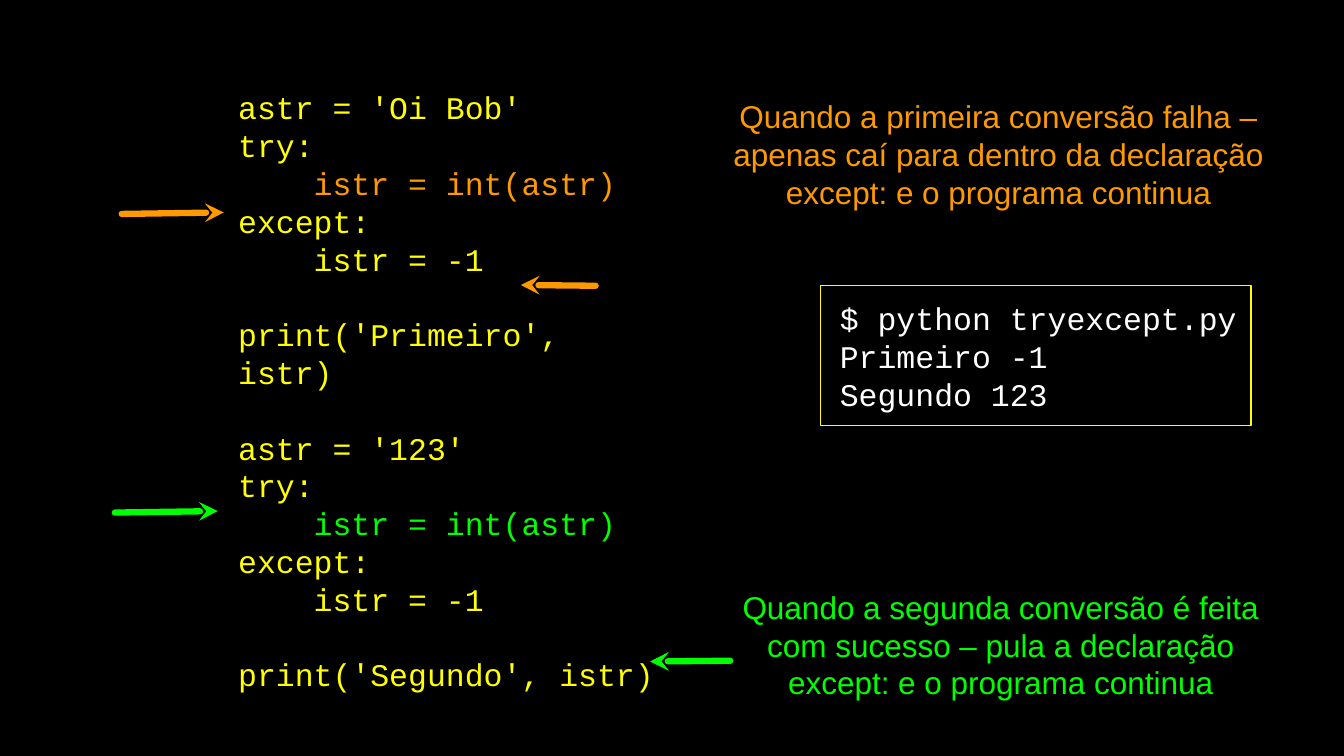
from lxml import etree
from pptx import Presentation
from pptx import util as u
from pptx.dml.color import RGBColor
from pptx.enum import shapes, text
from pptx.oxml.ns import qn

BLACK = RGBColor(0x00, 0x00, 0x00)
WHITE = RGBColor(0xFF, 0xFF, 0xFF)
YELLOW = RGBColor(0xFF, 0xFF, 0x00)
ORANGE = RGBColor(0xFF, 0x99, 0x00)
GREEN = RGBColor(0x00, 0xFF, 0x00)
CODE_FONT, NOTE_FONT = "Courier New", "Arial"


class SlideBuilder:
    """Holds the style and the current slide."""

    size = u.Pt(30)
    line_height = u.Pt(36)
    indent = u.Inches(1)

    def __init__(self, presentation):
        self.slide = presentation.slides.add_slide(presentation.slide_layouts[6])
        fill = self.slide.background.fill
        fill.solid()
        fill.fore_color.rgb = BLACK

    def prepare(self, shape, left_margin=0):
        frame = shape.text_frame
        frame.word_wrap = True
        frame.vertical_anchor = text.MSO_ANCHOR.MIDDLE
        frame.margin_left = u.Inches(left_margin)
        frame.margin_top = frame.margin_right = frame.margin_bottom = 0
        return frame

    def add_line(self, frame, index, words, font, color, align=text.PP_ALIGN.LEFT):
        paragraph = frame.add_paragraph() if index else frame.paragraphs[0]
        paragraph.alignment = align
        paragraph.line_spacing = self.line_height
        run = paragraph.add_run()
        run.text = words
        run.font.name, run.font.size = font, self.size
        run.font.color.rgb = color
        return paragraph

    def text_box(self, box):
        return self.prepare(self.slide.shapes.add_textbox(*map(u.Inches, box)))

    def code(self, box, lines):
        """Each line is (words, indent level, gap before, color)."""
        frame = self.text_box(box)
        for index, (words, level, gap, color) in enumerate(lines):
            paragraph = self.add_line(frame, index, words, CODE_FONT, color)
            if gap:
                paragraph.space_before = self.line_height
            if level:
                properties = paragraph._p.get_or_add_pPr()
                properties.set("marL", str(level * self.indent))
                properties.set("indent", "0")

    def note(self, box, words, color):
        self.add_line(self.text_box(box), 0, words, NOTE_FONT, color,
                      text.PP_ALIGN.CENTER)

    def console(self, box, lines):
        shape = self.slide.shapes.add_shape(
            shapes.MSO_SHAPE.RECTANGLE, *map(u.Inches, box))
        shape.shadow.inherit = False
        shape.fill.background()
        shape.line.color.rgb = YELLOW
        shape.line.width = u.Pt(1)
        frame = self.prepare(shape, 0.25)
        for index, words in enumerate(lines):
            self.add_line(frame, index, words, CODE_FONT, WHITE)

    def arrow(self, tail, tip, color):
        connector = self.slide.shapes.add_connector(
            shapes.MSO_CONNECTOR.STRAIGHT, *map(u.Inches, tail + tip))
        connector.line.color.rgb = color
        connector.line.width = u.Pt(6)
        line = connector.line._get_or_add_ln()
        line.set("cap", "rnd")
        etree.SubElement(line, qn("a:round"))
        etree.SubElement(line, qn("a:tailEnd"), type="stealth")
        etree.SubElement(connector._element.spPr, qn("a:effectLst"))


def attempt(value, label, color, gap):
    """Code lines of one conversion attempt."""
    return [
        (f"astr = '{value}'", 0, gap, YELLOW),
        ("try:", 0, False, YELLOW),
        ("istr = int(astr)", 1, False, color),
        ("except:", 0, False, YELLOW),
        ("istr = -1", 1, False, YELLOW),
        (f"print('{label}', istr)", 0, True, YELLOW),
    ]


presentation = Presentation()
presentation.slide_width = u.Inches(17.78)
presentation.slide_height = u.Inches(10)
builder = SlideBuilder(presentation)

# Program and its output
builder.code((3.15, 1.24, 5.69, 7.86),
             attempt("Oi Bob", "Primeiro", ORANGE, False)
             + attempt("123", "Segundo", GREEN, True))
builder.console((10.86, 3.78, 5.69, 1.85),
                ["$ python tryexcept.py", "Primeiro -1", "Segundo 123"])

# Explanations
builder.note((9.6, 1.25, 7.22, 1.57),
             "Quando a primeira conversão falha – apenas caí para dentro da "
             "declaração except: e o programa continua", ORANGE)
builder.note((9.66, 7.74, 7.16, 1.57),
             "Quando a segunda conversão é feita com sucesso – pula a "
             "declaração except: e o programa continua", GREEN)

# Arrows into and out of each attempt
for tail, tip, color in [
    ((1.61, 2.83), (2.96, 2.81), ORANGE),
    ((7.88, 3.78), (6.89, 3.77), ORANGE),
    ((1.52, 6.78), (2.88, 6.76), GREEN),
    ((9.66, 8.74), (8.6, 8.75), GREEN),
]:
    builder.arrow(tail, tip, color)

presentation.save("out.pptx")
